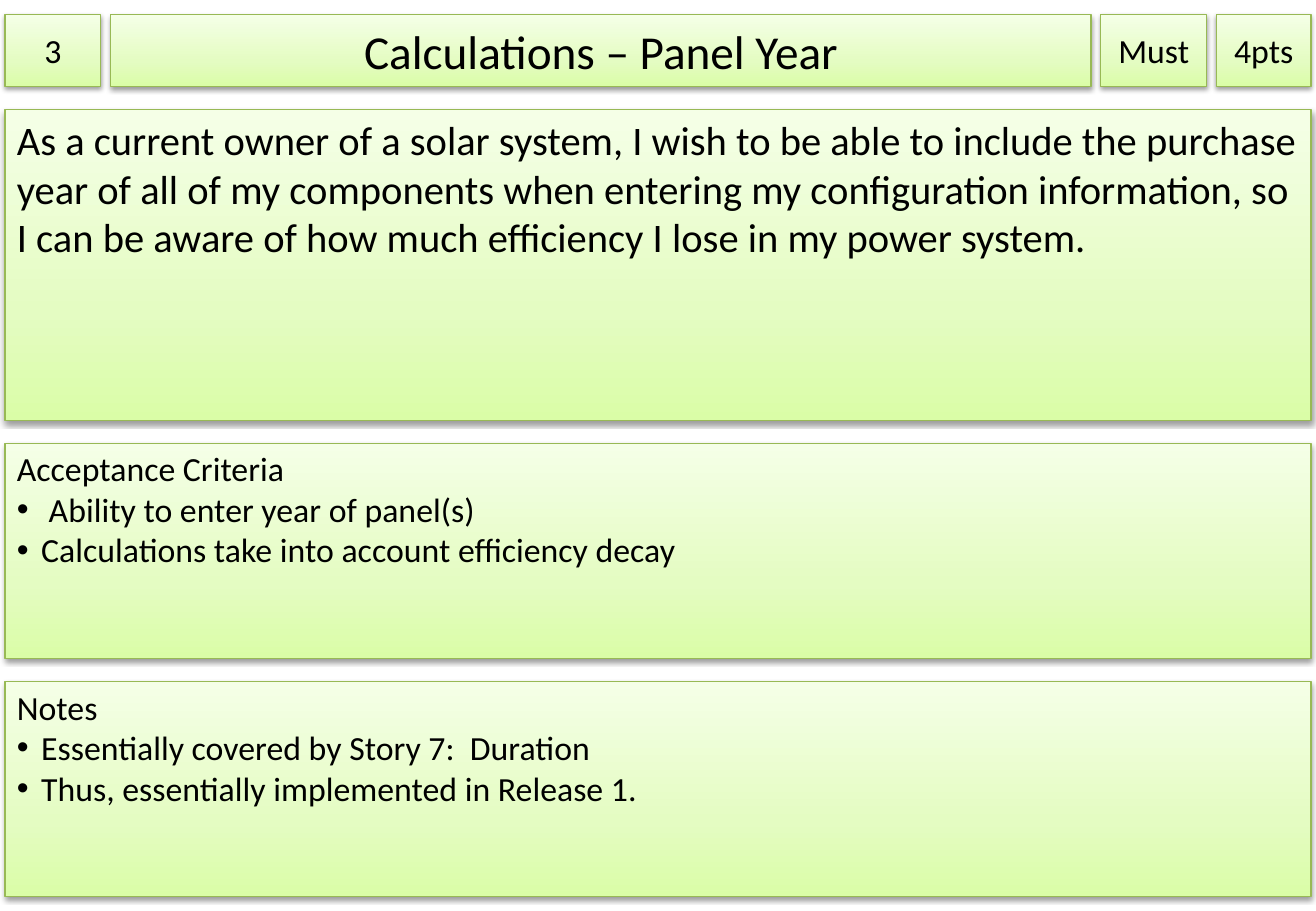
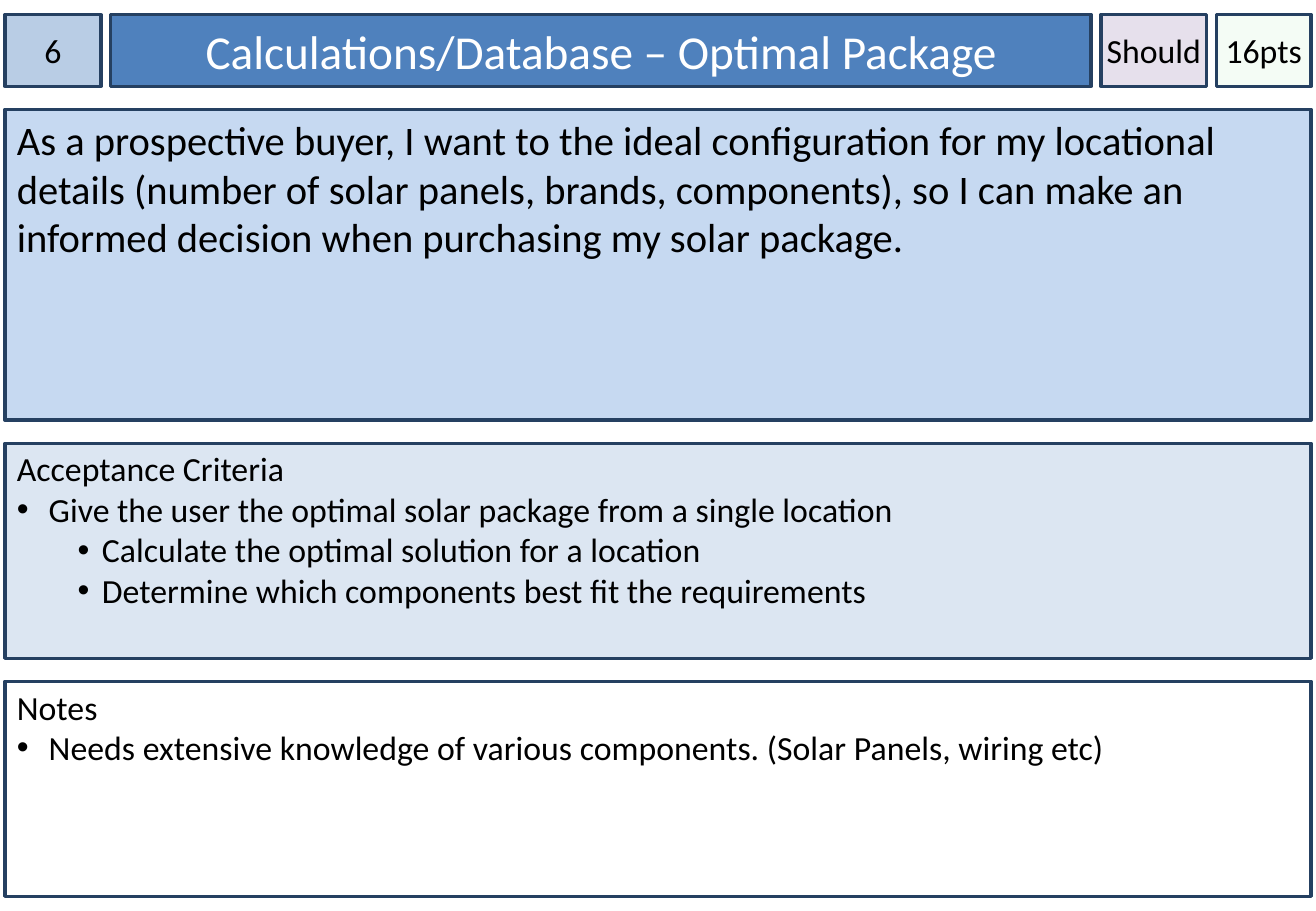
from copy import deepcopy
from dataclasses import dataclass, field
from itertools import accumulate

from lxml import etree
from pptx import Presentation, util as u
from pptx.dml import color
from pptx.enum import shapes, text
from pptx.oxml import ns

SLIDE_SIZE = 10.83, 7.5
COLUMNS = 0.79, 8.07, 0.87, 0.78
ROWS = 0.59, 2.56, 1.77, 1.77
LEFT, TOP = 0.04, 0.12
COLUMN_GAP, ROW_GAP = 0.08, 0.19
BULLET_INDENT, LEVEL_INDENT = 0.2, 0.5
FONT = "Calibri"
BLACK, WHITE = "000000", "FFFFFF"
LIME = (0, "DAFDA7"), (0.35, "E4FCC2"), (1, "F5FFE7")


def rgb(value):
    return color.RGBColor.from_string(value)


def sub(parent, tag, **attributes):
    """Append a drawing element such as a:alpha, with its attributes."""
    child = etree.SubElement(parent, ns.qn(tag))
    for name, value in attributes.items():
        child.set(name, str(value))
    return child


def span(start, sizes, gap, first, last):
    """Start and length of a run of grid tracks."""
    starts = list(accumulate(sizes[:-1], lambda at, size: at + size + gap,
                             initial=start))
    return starts[first], starts[last] + sizes[last] - starts[first]


@dataclass
class Theme:
    line: str
    line_width: float
    fills: dict = field(default_factory=dict)
    title_color: str = BLACK
    gradient: tuple = ()
    shadow: bool = False
    see_through: dict = field(default_factory=dict)


GREEN = Theme("98B955", 0.75, gradient=LIME, shadow=True)
BLUE = Theme("254061", 2, title_color=WHITE, see_through={"points": 20},
             fills={"number": "B9CDE5", "title": "4F81BD", "priority": "E6E0EC",
                    "points": "CCF0CD", "story": "C6D9F1",
                    "criteria": "DCE6F2", "notes": WHITE})


class StoryCard:
    def __init__(self, deck, theme):
        self.slide = deck.slides.add_slide(deck.slide_layouts[6])
        self.theme = theme

    def panel(self, part, row, first=0, last=len(COLUMNS) - 1):
        left, width = span(LEFT, COLUMNS, COLUMN_GAP, first, last)
        top, height = span(TOP, ROWS, ROW_GAP, row, row)
        panel = self.slide.shapes.add_shape(
            shapes.MSO_SHAPE.RECTANGLE,
            *(u.Inches(length) for length in (left, top, width, height)))
        panel.line.color.rgb = rgb(self.theme.line)
        panel.line.width = u.Pt(self.theme.line_width)
        self.paint(panel, part)
        self.cast_shadow(panel)
        frame = panel.text_frame
        frame.word_wrap = True
        frame.vertical_anchor = text.MSO_ANCHOR.TOP
        return frame

    def paint(self, panel, part):
        fill = panel.fill
        if self.theme.gradient:
            fill.gradient()
            fill.gradient_angle = 90
            stop_list = next(panel._element.spPr.iter(ns.qn("a:gsLst")))
            stop_list.append(deepcopy(stop_list[-1]))
            for stop, (position, value) in zip(fill.gradient_stops,
                                               self.theme.gradient):
                stop.position = position
                stop.color.rgb = rgb(value)
            return
        fill.solid()
        fill.fore_color.rgb = rgb(self.theme.fills[part])
        if part in self.theme.see_through:
            fill_color = next(panel._element.spPr.iter(ns.qn("a:srgbClr")))
            sub(fill_color, "a:alpha", val=self.theme.see_through[part] * 1000)

    def cast_shadow(self, panel):
        panel.shadow.inherit = False
        if self.theme.shadow:
            effects = panel._element.spPr.find(ns.qn("a:effectLst"))
            shadow = sub(effects, "a:outerShdw", blurRad=u.Pt(3.1),
                         dist=u.Pt(1.6), dir=90 * 60000, rotWithShape=0)
            sub(sub(shadow, "a:srgbClr", val=BLACK), "a:alpha", val=38000)

    def put_text(self, paragraph, words, size, value=BLACK,
                 align=text.PP_ALIGN.LEFT):
        paragraph.text = words
        paragraph.alignment = align
        paragraph.font.name = FONT
        paragraph.font.size = u.Pt(size)
        paragraph.font.color.rgb = rgb(value)

    def header(self, part, column, words, size=20, value=BLACK):
        frame = self.panel(part, 0, column, column)
        frame.vertical_anchor = text.MSO_ANCHOR.MIDDLE
        if part != "title":
            frame.margin_left = frame.margin_right = 0
        frame.word_wrap = part != "priority"
        self.put_text(frame.paragraphs[0], words, size, value,
                      text.PP_ALIGN.CENTER)

    def headers(self, number, title, priority, points):
        self.header("number", 0, number)
        self.header("title", 1, title, 28, self.theme.title_color)
        self.header("priority", 2, priority)
        self.header("points", 3, points)

    def story(self, words):
        self.put_text(self.panel("story", 1).paragraphs[0], words, 24)

    def bullets(self, part, row, heading, items):
        """Heading and bullets, given as (level, words) pairs."""
        frame = self.panel(part, row)
        frame.margin_top = u.Inches(0.04)
        self.put_text(frame.paragraphs[0], heading, 20)
        for level, words in items:
            paragraph = frame.add_paragraph()
            paragraph.level = level
            properties = paragraph._p.get_or_add_pPr()
            indent = BULLET_INDENT + level * LEVEL_INDENT
            properties.set("marL", str(u.Inches(indent)))
            properties.set("indent", str(u.Inches(-BULLET_INDENT)))
            sub(properties, "a:buFont", typeface="Arial")
            sub(properties, "a:buChar", char="•")
            self.put_text(paragraph, words, 20)


def add_card(deck, theme, headers, story, criteria, notes):
    card = StoryCard(deck, theme)
    card.headers(*headers)
    card.story(story)
    card.bullets("criteria", 2, "Acceptance Criteria", criteria)
    card.bullets("notes", 3, "Notes", notes)


def main():
    deck = Presentation()
    deck.slide_width, deck.slide_height = map(u.Inches, SLIDE_SIZE)
    add_card(
        deck, GREEN, ("3", "Calculations – Panel Year", "Must", "4pts"),
        "As a current owner of a solar system, I wish to be able to include "
        "the purchase year of all of my components when entering my "
        "configuration information, so I can be aware of how much efficiency "
        "I lose in my power system.",
        [(0, " Ability to enter year of panel(s)"),
         (0, "Calculations take into account efficiency decay")],
        [(0, "Essentially covered by Story 7:  Duration"),
         (0, "Thus, essentially implemented in Release 1.")])
    add_card(
        deck, BLUE,
        ("6", "Calculations/Database – Optimal Package", "Should", "16pts"),
        "As a prospective buyer, I want to the ideal configuration for my "
        "locational details (number of solar panels, brands, components), so "
        "I can make an informed decision when purchasing my solar package.",
        [(0, " Give the user the optimal solar package from a single location"),
         (1, "Calculate the optimal solution for a location"),
         (1, "Determine which components best fit the requirements")],
        [(0, " Needs extensive knowledge of various components. "
             "(Solar Panels, wiring etc)")])
    deck.save("out.pptx")


if __name__ == "__main__":
    main()
